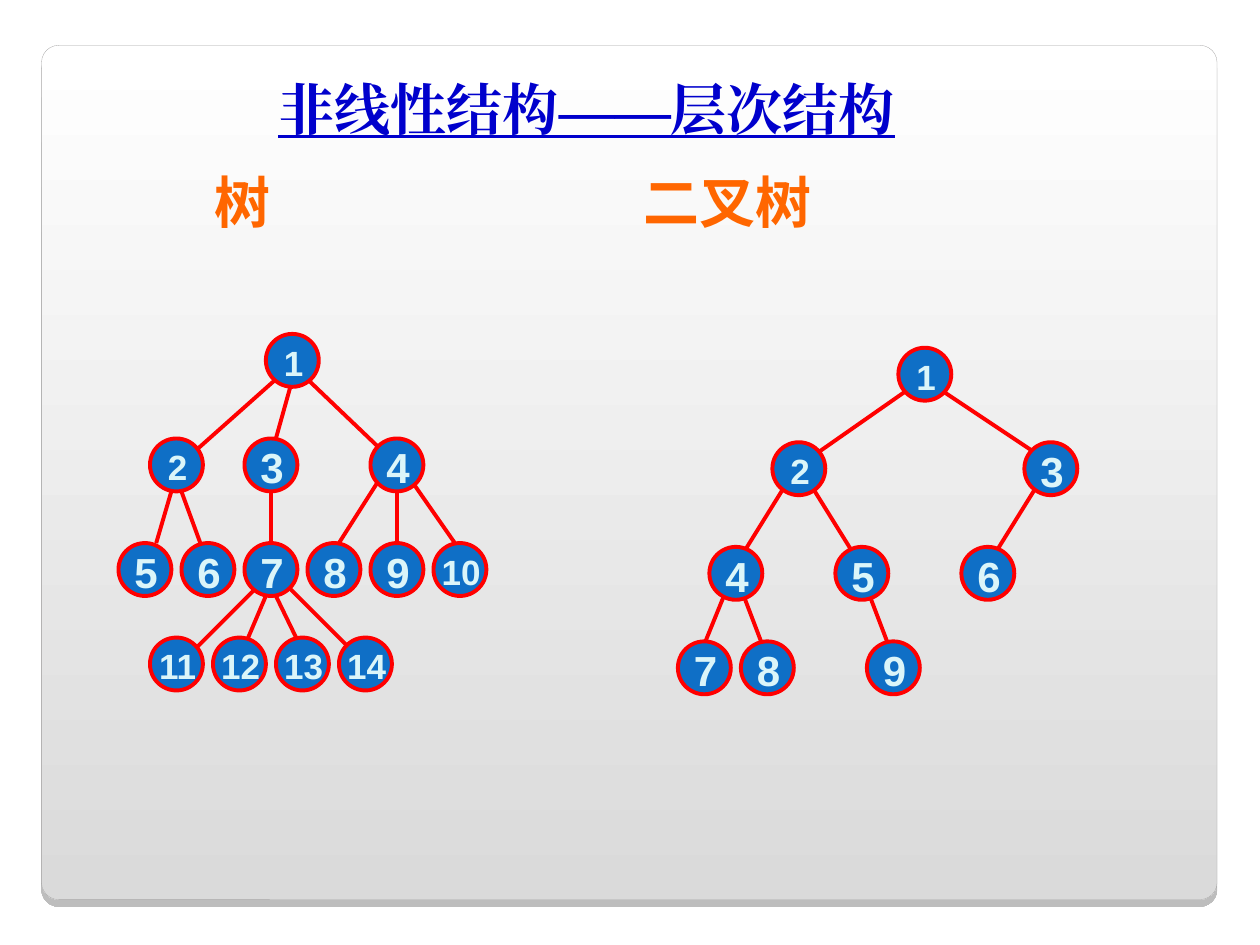
from lxml.etree import SubElement
from pptx import Presentation
from pptx.dml.color import RGBColor
from pptx.enum.shapes import MSO_CONNECTOR, MSO_SHAPE
from pptx.enum.text import MSO_ANCHOR, PP_ALIGN
from pptx.oxml import parse_xml
from pptx.oxml.ns import nsdecls, qn
from pptx.util import Pt

PX = 9144
RED, BLUE, PALE = "FF0000", "0F6FC6", "DBF5F9"


def paint(tint):
    return RGBColor.from_string(tint)


def write(shape, text, size=32, face="Arial", tint=PALE, align=PP_ALIGN.LEFT,
          anchor=MSO_ANCHOR.MIDDLE, pad=(12, 6, 12, 6), wrap=True, under=False):
    frame = shape.text_frame
    frame.word_wrap = wrap
    frame.vertical_anchor = anchor
    frame.margin_left, frame.margin_top, frame.margin_right, frame.margin_bottom = [
        side * PX for side in pad]
    para = frame.paragraphs[0]
    para.alignment = align
    run = para.add_run()
    run.text = text
    font = run.font
    font.size = Pt(size)
    font.bold = True
    font.underline = under
    font.color.rgb = paint(tint)
    font.name = face
    SubElement(font._element, qn("a:ea")).set("typeface", face)


deck = Presentation()
deck.slide_width, deck.slide_height = 1000 * PX, 750 * PX
slide = deck.slides.add_slide(deck.slide_layouts[5])
shapes = slide.shapes

panel = shapes.add_shape(MSO_SHAPE.ROUNDED_RECTANGLE, 33 * PX, 36 * PX, 933 * PX, 678 * PX)
panel.adjustments[0] = 0.02
panel.fill.gradient()
panel.fill.gradient_angle = 270
for stop, (place, tint) in zip(panel.fill.gradient_stops, [(0, "FFFFFF"), (1, "DADADA")]):
    stop.position = place
    stop.color.rgb = paint(tint)
panel.line.color.rgb = paint("A4A3A3")
panel.line.width = Pt(0.17)
panel._element.spPr.append(parse_xml(
    f'<a:effectLst {nsdecls("a")}><a:outerShdw blurRad="0" dist="50800" dir="5400000" rotWithShape="0">'
    '<a:srgbClr val="000000"><a:alpha val="25000"/></a:srgbClr></a:outerShdw></a:effectLst>'))
shapes._spTree.insert(2, panel._element)

title = shapes.title
title.left, title.top, title.width, title.height = 209 * PX, 52 * PX, 622 * PX, 67 * PX
write(title, "非线性结构——层次结构", face="Times New Roman", tint="0000CC", under=True)

for text, left, width in [("树", 158, 100), ("二叉树", 499, 200)]:
    label = shapes.add_textbox(left * PX, 127 * PX, width * PX, 66 * PX)
    write(label, text, face="Noto Sans CJK SC", tint="FF6600", anchor=MSO_ANCHOR.TOP)

tree_edges = [
    (219, 301, 147, 365), (231, 305, 219, 348), (244, 301, 311, 365),
    (136, 390, 124, 431), (144, 390, 159, 431), (215, 390, 215, 431),
    (311, 365, 269, 431), (315, 390, 315, 431), (315, 365, 361, 431),
    (214, 456, 147, 523), (211, 473, 197, 506), (219, 473, 235, 506), (219, 456, 286, 523),
]
binary_edges = [
    (721, 309, 638, 367), (746, 309, 821, 359),
    (629, 376, 588, 442), (638, 376, 679, 442), (829, 376, 788, 442),
    (577, 467, 553, 526), (588, 467, 604, 509), (688, 467, 704, 509),
]
for edge in tree_edges + binary_edges:
    link = shapes.add_connector(MSO_CONNECTOR.STRAIGHT, *[spot * PX for spot in edge])
    link.line.color.rgb = paint(RED)
    link.line.width = Pt(2.25)
    SubElement(link._element.spPr, qn("a:effectLst"))

tree_rows = [(265, [211]), (348, [119, 194, 294]),
             (431, range(94, 345, 50)), (506, range(119, 270, 50))]
binary_rows = [(276, [713]), (351, [613, 813]),
               (434, range(563, 764, 100)), (509, [538, 588, 688])]
for rows in (tree_rows, binary_rows):
    spots = [(left, top) for top, lefts in rows for left in lefts]
    for num, (left, top) in enumerate(spots, 1):
        node = shapes.add_shape(MSO_SHAPE.OVAL, left * PX, top * PX, 42 * PX, 42 * PX)
        node.shadow.inherit = False
        node.fill.solid()
        node.fill.fore_color.rgb = paint(BLUE)
        node.line.color.rgb = paint(RED)
        node.line.width = Pt(2.25)
        write(node, str(num), size=24 if 3 <= num <= 9 else 20,
              align=PP_ALIGN.CENTER, pad=(2, 3, 0, 0), wrap=False)

deck.save("out.pptx")
